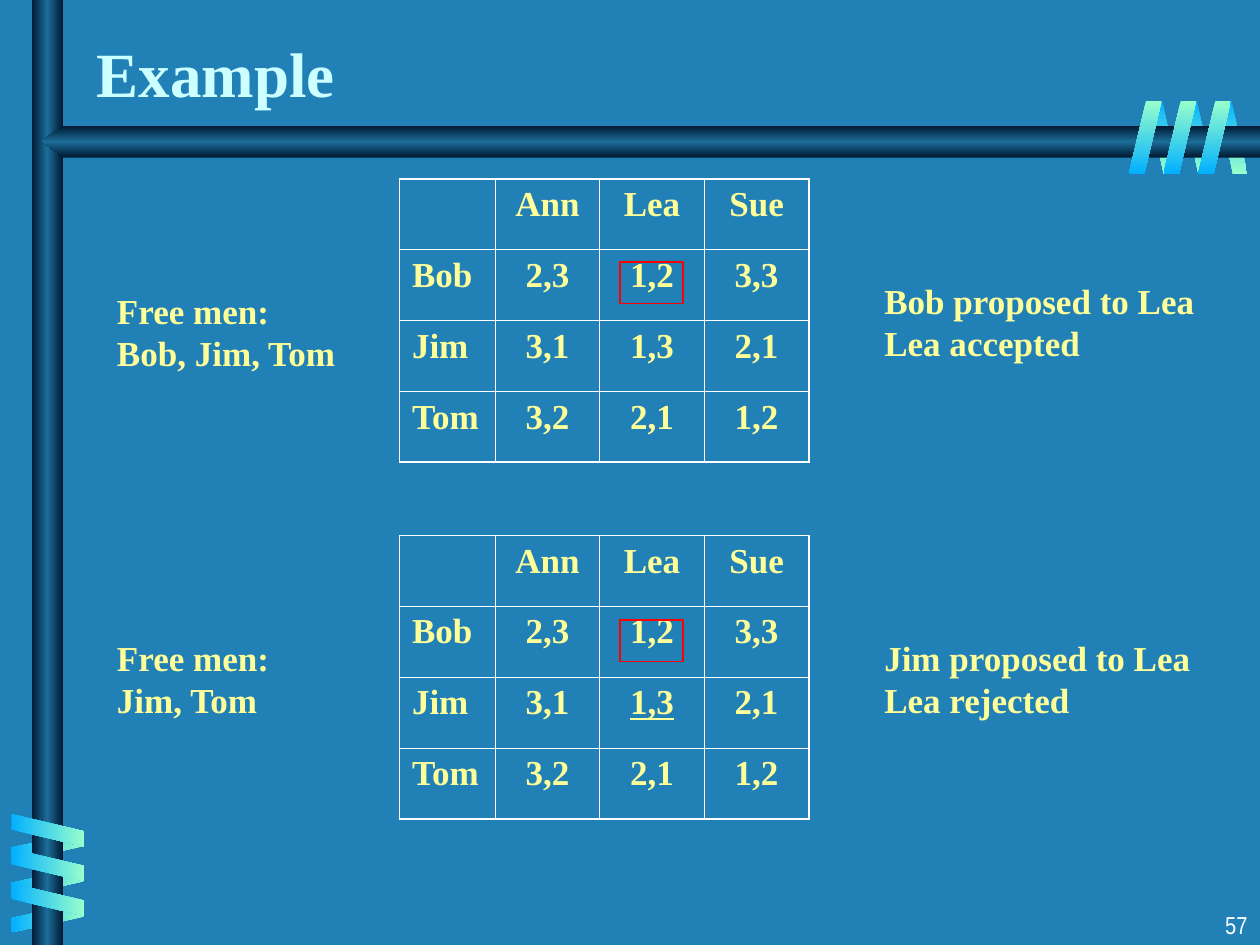
from dataclasses import dataclass

from lxml import etree
from pptx import Presentation
from pptx import util as u
from pptx.dml.color import RGBColor
from pptx.enum import shapes, text
from pptx.oxml import parse_xml
from pptx.oxml.ns import nsdecls, qn

SERIF = "Times New Roman"
YELLOW, WHITE, RED = "FFFF99", "FFFFFF", "FF0000"
BAR = ("001932", "1C6D9A", "001932")
BLUE_TO_GREEN = ("01B0FF", "99FFCC")
GREEN_TO_BLUE = BLUE_TO_GREEN[::-1]
LEFT, CENTER, RIGHT = text.PP_ALIGN.LEFT, text.PP_ALIGN.CENTER, text.PP_ALIGN.RIGHT


@dataclass
class Coil:
    """Equal slanted bands that form one side of a spiral."""
    left: float
    top: float
    width: float
    step_x: float
    step_y: float
    colors: tuple
    angle: int
    rotation: int = 0
    flipped: bool = False


@dataclass
class Label:
    words: str
    left: float
    top: float
    width: float
    height: float
    size: int = 20
    color: str = YELLOW
    font: str = SERIF
    bold: bool = True
    align: text.PP_ALIGN = LEFT
    anchor: text.MSO_ANCHOR = text.MSO_ANCHOR.TOP


@dataclass
class Round:
    """One proposal: the preference table with its remarks."""
    table_top: float
    free_men: str
    free_top: float
    outcome: str
    outcome_top: float
    mark_top: float
    underlined: tuple = ()


BACK_COILS = [
    Coil(9.66, 0.8, 0.24, -0.275, 0, BLUE_TO_GREEN, 90, 180, True),
    Coil(0.26, 6.43, 0.24, 0, 0.28, GREEN_TO_BLUE, 0, 90, True),
]
FRONT_COILS = [
    Coil(0.25, 6.3, 0.26, 0, 0.275, BLUE_TO_GREEN, 0, 270),
    Coil(9.51, 0.8, 0.26, -0.275, 0, GREEN_TO_BLUE, 90),
]
PREFERENCES = [
    ("", "Ann", "Lea", "Sue"),
    ("Bob", "2,3", "1,2", "3,3"),
    ("Jim", "3,1", "1,3", "2,1"),
    ("Tom", "3,2", "2,1", "1,2"),
]
ROUNDS = [
    Round(1.42, "Bob, Jim, Tom", 2.25, "Bob proposed to Lea\nLea accepted", 2.17, 2.08),
    Round(4.25, "Jim, Tom", 5, "Jim proposed to Lea\nLea rejected", 5, 4.92, (2, 2)),
]


def rgb(value: str) -> RGBColor:
    return RGBColor.from_string(value)


def box_of(left: float, top: float, width: float, height: float) -> list:
    return [u.Inches(length) for length in (left, top, width, height)]


def fill_gradient(shape, colors: tuple, angle: int) -> None:
    """Spread the colours evenly, at an angle that ignores the shape's rotation."""
    stops = "".join(
        f'<a:gs pos="{100000 * i // (len(colors) - 1)}"><a:srgbClr val="{color}"/></a:gs>'
        for i, color in enumerate(colors))
    gradient = parse_xml(
        f'<a:gradFill {nsdecls("a")} rotWithShape="0"><a:gsLst>{stops}</a:gsLst>'
        f'<a:lin ang="{angle * 60000}" scaled="0"/></a:gradFill>')
    shape.shadow.inherit = False
    shape.line.fill.background()
    properties = shape._element.spPr
    geometry = [child for child in properties
                if child.tag in (qn("a:prstGeom"), qn("a:custGeom"))][0]
    geometry.addnext(gradient)


def add_coil(page, coil: Coil) -> None:
    for i in range(3):
        band = page.shapes.add_shape(
            shapes.MSO_SHAPE.PARALLELOGRAM,
            *box_of(coil.left + i * coil.step_x, coil.top + i * coil.step_y, coil.width, 0.58))
        band.adjustments[0] = 0.53
        band.rotation = coil.rotation
        if coil.flipped:
            band._element.spPr.xfrm.set("flipH", "1")
        fill_gradient(band, coil.colors, coil.angle)


def add_bars(page) -> None:
    upright = page.shapes.add_shape(shapes.MSO_SHAPE.RECTANGLE, *box_of(0.25, 0, 0.25, 7.5))
    fill_gradient(upright, BAR, 0)
    outline = page.shapes.build_freeform(u.Inches(10), u.Inches(1))
    corners = [(0.5, 1), (0.33, 1.12), (0.5, 1.25), (10, 1.25)]
    outline.add_line_segments([(u.Inches(x), u.Inches(y)) for x, y in corners], close=True)
    fill_gradient(outline.convert_to_shape(), BAR, 90)


def style(para, size: int, color: str, font: str = SERIF, bold: bool = True) -> None:
    para.font.size = u.Pt(size)
    para.font.name = font
    para.font.bold = bold
    para.font.color.rgb = rgb(color)


def add_label(page, label: Label) -> None:
    frame = page.shapes.add_textbox(
        *box_of(label.left, label.top, label.width, label.height)).text_frame
    frame.word_wrap = True
    frame.vertical_anchor = label.anchor
    para = frame.paragraphs[0]
    para.text = label.words
    para.alignment = label.align
    style(para, label.size, label.color, label.font, label.bold)


def add_borders(cell, outer_sides: str) -> None:
    """Draw all four borders, thicker on the outer sides of the table."""
    properties = cell._tc.get_or_add_tcPr()
    for side in "LRTB":
        width = u.Pt(1.08 if side in outer_sides else 0.45)
        line = etree.SubElement(properties, qn(f"a:ln{side}"), w=str(int(width)))
        solid = etree.SubElement(line, qn("a:solidFill"))
        etree.SubElement(solid, qn("a:srgbClr"), val=WHITE)


def add_preferences(page, top: float, underlined: tuple) -> None:
    last = len(PREFERENCES) - 1
    table = page.shapes.add_table(4, 4, *box_of(3.17, top, 3.25, 2.25)).table
    table.first_row = table.horz_banding = False
    for column, width in zip(table.columns, (0.76, 0.83, 0.83, 0.83)):
        column.width = u.Inches(width)
    for r, row in enumerate(PREFERENCES):
        for c, words in enumerate(row):
            cell = table.cell(r, c)
            edges = {"L": c == 0, "R": c == last, "T": r == 0, "B": r == last}
            add_borders(cell, "".join(side for side, outer in edges.items() if outer))
            cell.fill.background()
            para = cell.text_frame.paragraphs[0]
            para.text = words
            para.alignment = CENTER if c else LEFT
            style(para, 20, YELLOW)
            if (r, c) == underlined:
                para.runs[0].font.underline = True


def add_round(page, step: Round) -> None:
    add_preferences(page, step.table_top, step.underlined)
    add_label(page, Label(f"Free men:\n{step.free_men}", 0.83, step.free_top, 2.25, 0.77))
    add_label(page, Label(step.outcome, 6.92, step.outcome_top, 2.67, 0.77))
    mark = page.shapes.add_shape(
        shapes.MSO_SHAPE.RECTANGLE, *box_of(4.92, step.mark_top, 0.5, 0.33))
    mark.shadow.inherit = False
    mark.fill.background()
    mark.line.color.rgb = rgb(RED)
    mark.line.width = u.Pt(1)


def main() -> None:
    deck = Presentation()
    deck.slide_width, deck.slide_height = u.Inches(10), u.Inches(7.5)
    page = deck.slides.add_slide(deck.slide_layouts[6])
    page.background.fill.solid()
    page.background.fill.fore_color.rgb = rgb("2181B7")

    for coil in BACK_COILS:
        add_coil(page, coil)
    add_bars(page)
    for coil in FRONT_COILS:
        add_coil(page, coil)

    add_label(page, Label("57", 7.92, 7.17, 2.08, 0.33, 14, WHITE, "Arial Narrow", False, RIGHT))
    add_label(page, Label("Example", 0.67, 0.17, 8.3, 0.75, 36, "CCFFFF",
                          anchor=text.MSO_ANCHOR.BOTTOM))
    for step in ROUNDS:
        add_round(page, step)
    deck.save("out.pptx")


if __name__ == "__main__":
    main()
